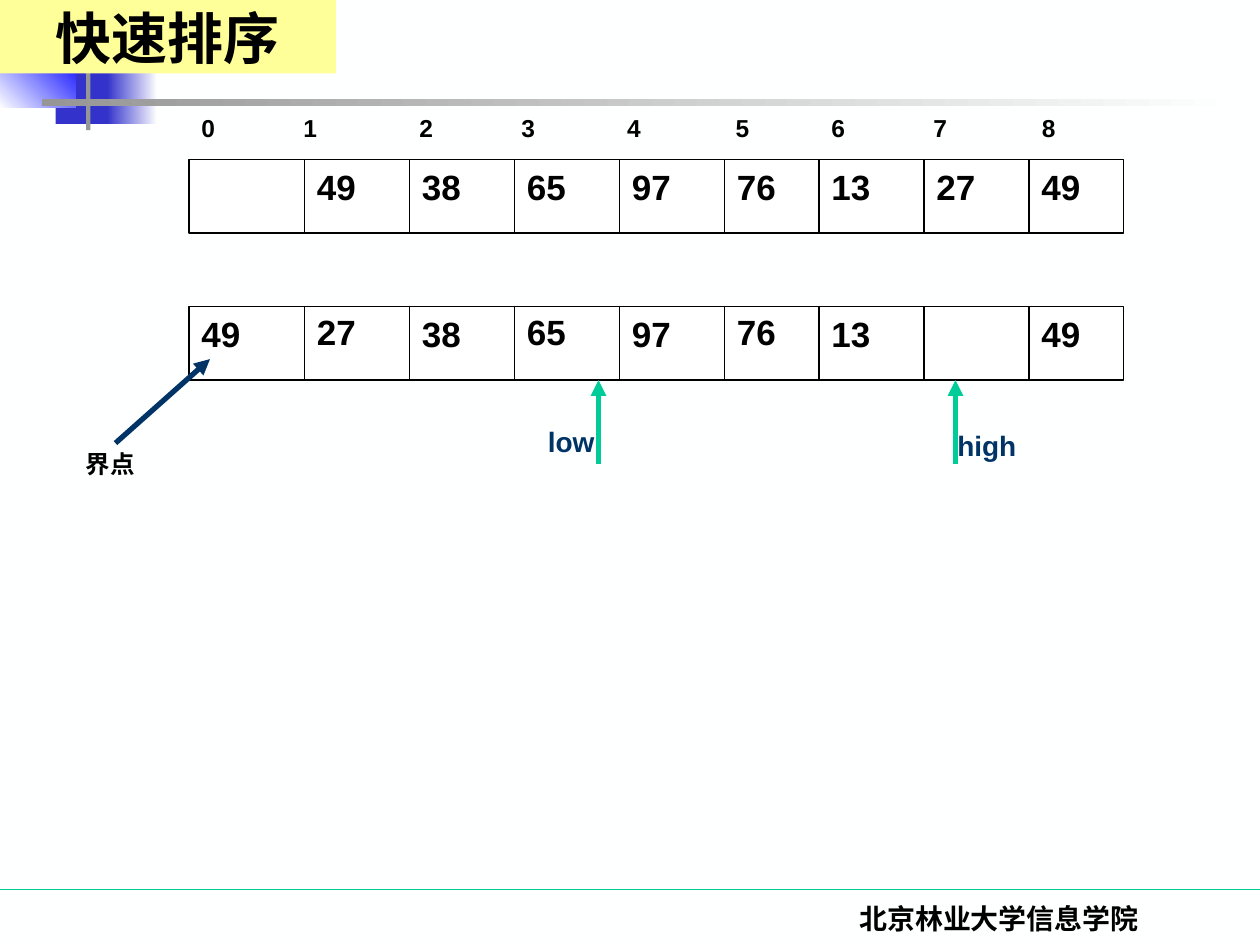
from dataclasses import dataclass

from pptx import Presentation
from pptx.dml.color import RGBColor
from pptx.enum.shapes import MSO_CONNECTOR, MSO_SHAPE
from pptx.enum.text import MSO_ANCHOR, MSO_AUTO_SIZE, PP_ALIGN
from pptx.oxml.ns import qn
from pptx.oxml.xmlchemy import OxmlElement
from pptx.util import Inches, Pt

RECTANGLE = MSO_SHAPE.RECTANGLE
STRAIGHT = MSO_CONNECTOR.STRAIGHT
LEFT, CENTER = PP_ALIGN.LEFT, PP_ALIGN.CENTER
TOP, MIDDLE = MSO_ANCHOR.TOP, MSO_ANCHOR.MIDDLE
GROW, FIXED = MSO_AUTO_SIZE.SHAPE_TO_FIT_TEXT, MSO_AUTO_SIZE.NONE
TITLE_ONLY = 5
COLUMNS, ROWS = 120, 90


@dataclass(frozen=True)
class Theme:
    paper: str = "FEFFFF"
    ink: str = "000000"
    cell: str = "FFFFFF"
    banner: str = "FFFF99"
    navy: str = "003366"
    indigo: str = "3333CC"
    blue: str = "0000FF"
    gray: str = "969696"
    green: str = "00CC99"
    sans: str = "Arial"
    serif: str = "Times New Roman"
    title: int = 32
    value: int = 20
    label: int = 16
    small: int = 14
    thin: float = 0.75
    thick: float = 3


def write(frame, text, *, size, color, font, align=LEFT, anchor=TOP, grow=True, tabs=()):
    frame.word_wrap = True
    frame.auto_size = GROW if grow else FIXED
    frame.vertical_anchor = anchor
    frame.margin_left = frame.margin_right = Inches(0.1)
    frame.margin_top = frame.margin_bottom = Inches(0.05)
    paragraph = frame.paragraphs[0]
    paragraph.alignment = align
    if tabs:
        tab_list = OxmlElement("a:tabLst")
        for position in tabs:
            tab = OxmlElement("a:tab")
            tab.set("pos", str(Inches(position)))
            tab.set("algn", "l")
            tab_list.append(tab)
        paragraph._p.get_or_add_pPr().append(tab_list)
    run = paragraph.add_run()
    run.text = text
    run.font.name = font
    run.font.size = Pt(size)
    run.font.bold = True
    run.font.color.rgb = RGBColor.from_string(color)


class SlideBuilder:
    def __init__(self, presentation, theme):
        self.theme = theme
        self.column = presentation.slide_width / COLUMNS
        self.row = presentation.slide_height / ROWS
        self.slide = presentation.slides.add_slide(presentation.slide_layouts[TITLE_ONLY])
        self.shapes = self.slide.shapes
        self.paint(self.slide.background.fill, theme.paper)

    def place(self, x, y, width, height):
        return (round(x * self.column), round(y * self.row),
                round(width * self.column), round(height * self.row))

    def paint(self, fill, color):
        fill.solid()
        fill.fore_color.rgb = RGBColor.from_string(color)

    def rectangle(self, x, y, width, height, color, fade=None, angle=0, outline=None):
        shape = self.shapes.add_shape(RECTANGLE, *self.place(x, y, width, height))
        shape.shadow.inherit = False
        if fade:
            shape.fill.gradient()
            shape.fill.gradient_angle = angle
            for stop, shade in zip(shape.fill.gradient_stops, (color, fade)):
                stop.color.rgb = RGBColor.from_string(shade)
        else:
            self.paint(shape.fill, color)
        if outline:
            self.paint(shape.line.fill, outline)
            shape.line.width = Pt(self.theme.thin)
        else:
            shape.line.fill.background()

    def line(self, x1, y1, x2, y2, color, arrow=False):
        connector = self.shapes.add_connector(STRAIGHT, *self.place(x1, y1, x2, y2))
        self.paint(connector.line.fill, color)
        connector.line.width = Pt(self.theme.thick if arrow else self.theme.thin)
        properties = connector._element.spPr
        if arrow:
            head = OxmlElement("a:tailEnd")
            head.set("type", "triangle")
            properties.find(qn("a:ln")).append(head)
        properties.append(OxmlElement("a:effectLst"))

    def text(self, x, y, width, height, text, size, color=None, font=None, **layout):
        box = self.shapes.add_textbox(*self.place(x, y, width, height))
        write(box.text_frame, text, size=size, color=color or self.theme.ink,
              font=font or self.theme.sans, **layout)

    def title(self, x, y, width, height, text):
        title = self.shapes.title
        title.left, title.top, title.width, title.height = self.place(x, y, width, height)
        self.paint(title.fill, self.theme.banner)
        write(title.text_frame, text, size=self.theme.title, color=self.theme.ink,
              font=self.theme.serif, align=CENTER, anchor=MIDDLE, grow=False)
        self.shapes._spTree.append(title._element)

    def array(self, edges, y, height, values, raised=()):
        ink = self.theme.ink
        self.rectangle(edges[0], y, edges[-1] - edges[0], height, self.theme.cell, outline=ink)
        for x in edges[1:-1]:
            self.line(x, y, x, y + height, ink)
        for index, (x, value) in enumerate(zip(edges, values)):
            if value:
                top = y - 0.2 if index in raised else y
                self.text(x, top, 8, 5.3, value, self.theme.value)

    def pointer(self, x, y, name, name_x, name_y):
        self.line(x, y + 8, x, y, self.theme.green, arrow=True)
        self.text(name_x, name_y, 11, 4.4, name, self.theme.label, self.theme.navy)


def main():
    presentation = Presentation()
    presentation.slide_width, presentation.slide_height = Inches(10), Inches(7.5)
    theme = Theme()
    builder = SlideBuilder(presentation, theme)

    builder.line(0, 84.7, COLUMNS, 84.7, theme.green)
    builder.rectangle(3.7, 0, 5.8, 6.2, theme.navy)
    builder.rectangle(8.6, 0, 4.3, 6.2, theme.navy, fade=theme.paper)
    builder.rectangle(5.3, 5.5, 5.5, 6.3, theme.indigo)
    builder.rectangle(10.2, 5.5, 4.8, 6.3, theme.indigo, fade=theme.paper)
    builder.rectangle(-0.1, 4.6, 7.3, 5.6, theme.paper, fade=theme.blue, angle=45)
    builder.rectangle(8.2, -1.4, 0.4, 13.8, theme.gray)
    builder.rectangle(4, 9.4, 114, 0.7, theme.gray, fade=theme.paper)
    builder.text(70.3, 85.3, 49.7, 6, "北京林业大学信息学院", theme.label,
                 font=theme.serif, align=CENTER, grow=False)

    edges = (18, 29, 39, 49, 59, 69, 78, 88, 98, 107)
    first_row, second_row, height = 15.2, 29.2, 7
    builder.array(edges, second_row, height,
                  ("49", "27", "38", "65", "97", "76", "13", "", "49"), raised=(1, 3, 5))
    builder.array(edges, first_row, height,
                  ("", "49", "38", "65", "97", "76", "13", "27", "49"))
    builder.text(edges[0], 10.2, edges[-1] - edges[0], 4.1,
                 "\t".join(str(index) for index in range(9)), theme.small,
                 tabs=(0.81, 1.73, 2.54, 3.38, 4.24, 5, 5.81, 6.67))

    bottom = second_row + height
    builder.pointer(91, bottom, "high", 90, 40.2)
    builder.pointer(57, bottom, "low", 51, 39.8)
    builder.text(7, 42.2, 10, 4.1, "界点", theme.small)
    builder.line(11, 42.2, 20, 34.2, theme.navy, arrow=True)
    builder.title(0, 0, 32, 7, "快速排序")

    presentation.save("out.pptx")


if __name__ == "__main__":
    main()
